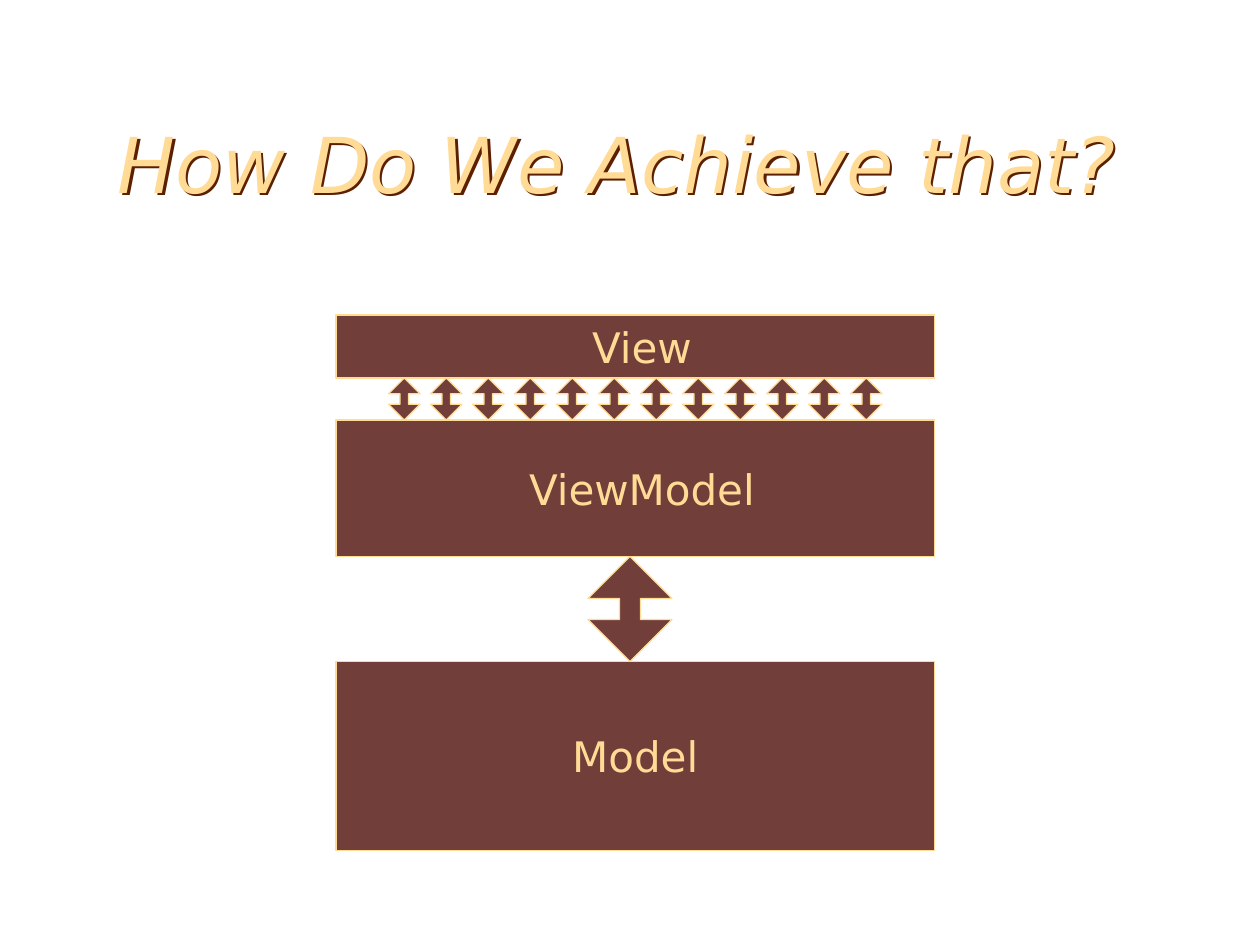
from lxml.etree import SubElement
from pptx import Presentation
from pptx.dml.color import RGBColor
from pptx.enum.shapes import MSO_SHAPE
from pptx.enum.text import MSO_ANCHOR, PP_ALIGN
from pptx.oxml.ns import qn
from pptx.util import Pt

TITLE = "How Do We Achieve that?"
LAYERS = [("View", 180, 36, 14.8), ("ViewModel", 240, 78, 14.8), ("Model", 378, 108, 7.2)]
BINDINGS = 12
FONT = "DejaVu Sans"
GOLD, BROWN, SHADOW = "FFDB96", "713E39", "5C1F00"
LAYER_LEFT, LAYER_WIDTH = 192, 342


def rgb(value):
    return RGBColor.from_string(value)


def write(sp, text, size, left=7.2, right=7.2, italic=False):
    tf = sp.text_frame
    tf.word_wrap = True
    tf.vertical_anchor = MSO_ANCHOR.MIDDLE
    tf.margin_left, tf.margin_right = Pt(left), Pt(right)
    p = tf.paragraphs[0]
    p.text = text
    p.alignment = PP_ALIGN.CENTER
    p.font.name = FONT
    p.font.size = Pt(size)
    p.font.italic = italic
    p.font.color.rgb = rgb(GOLD)


def add_block(s, kind, x, y, w, h):
    sp = s.shapes.add_shape(kind, Pt(x), Pt(y), Pt(w), Pt(h))
    sp.shadow.inherit = False
    sp.fill.solid()
    sp.fill.fore_color.rgb = rgb(BROWN)
    sp.line.color.rgb = rgb(GOLD)
    sp.line.width = Pt(0.75)
    return sp


def add_arrow(s, x, y, w, h, head):
    sp = add_block(s, MSO_SHAPE.UP_DOWN_ARROW, x, y, w, h)
    sp.adjustments[0] = 0.5
    sp.adjustments[1] = head


def add_title(s):
    sp = s.shapes.add_textbox(Pt(54), Pt(48), Pt(612), Pt(90))
    write(sp, TITLE, 44, right=21.2, italic=True)
    effects = SubElement(sp.element.spPr, qn("a:effectLst"))
    shadow = SubElement(effects, qn("a:outerShdw"), dist=str(Pt(1.8)), dir="2700000", algn="tl")
    SubElement(shadow, qn("a:srgbClr"), val=SHADOW)


def main():
    prs = Presentation()
    prs.slide_width, prs.slide_height = Pt(720), Pt(540)
    s = prs.slides.add_slide(prs.slide_layouts[6])
    add_title(s)
    for text, top, height, inset in LAYERS:
        sp = add_block(s, MSO_SHAPE.RECTANGLE, LAYER_LEFT, top, LAYER_WIDTH, height)
        write(sp, text, 24, left=inset)
    for i in range(BINDINGS):
        add_arrow(s, 222 + 24 * i, 216, 18, 24, 0.27)
    add_arrow(s, 336, 318, 48, 60, 0.25)
    prs.save("out.pptx")


if __name__ == "__main__":
    main()
